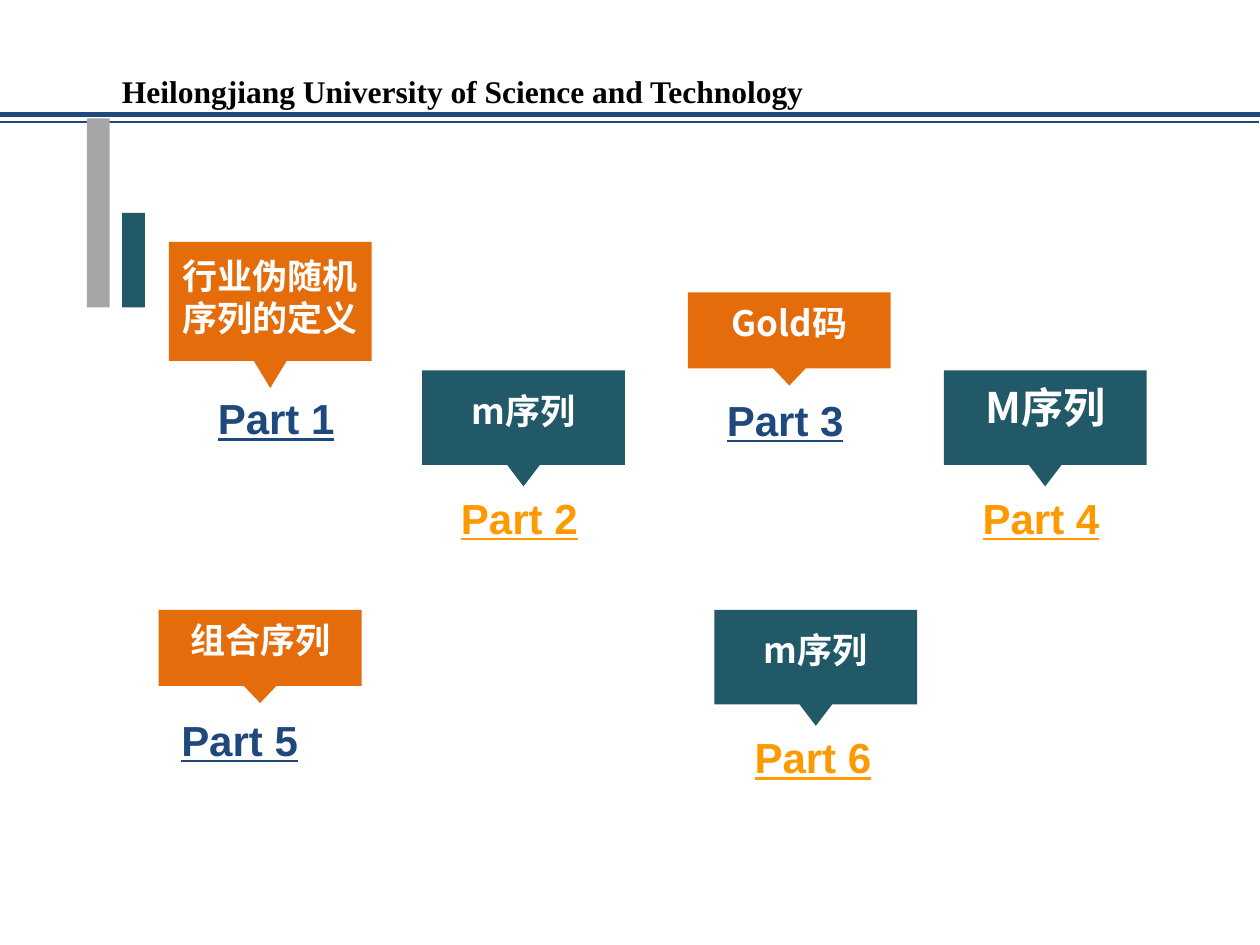
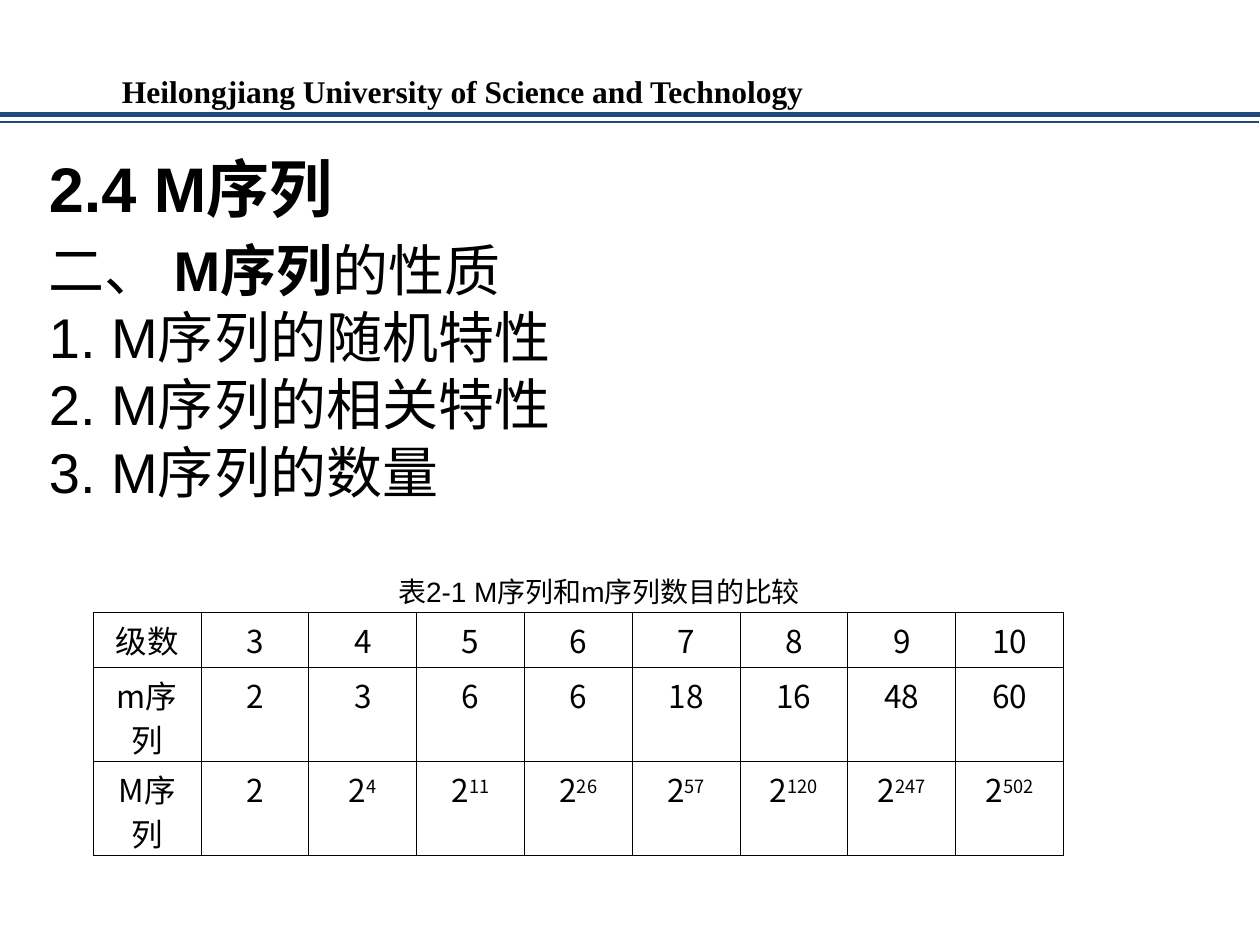
from typing import NamedTuple

from lxml import etree
from pptx import Presentation
from pptx import util as u
from pptx.dml.color import RGBColor
from pptx.enum import shapes, text
from pptx.oxml.ns import qn

NAVY, TEAL, ORANGE, AMBER = "1F497D", "215968", "E46C0A", "FF9900"
GREY, BLACK, WHITE, BORDER = "A6A6A6", "000000", "FFFFFF", "080000"
ARIAL, CJK, SERIF = "Arial", "Noto Sans CJK SC", "Times New Roman"


class Style(NamedTuple):
    size: float
    font: str = ARIAL
    color: str = BLACK
    bold: bool = False
    underline: bool = False
    raised: bool = False


class Callout(NamedTuple):
    """A box with a tail pointing at its numbered label."""
    words: str
    number: int
    left: float
    top: float
    height: float
    text_top: float
    label_left: float
    label_top: float
    fill: str
    label_color: str
    size: float = 20


CALLOUT_WIDTH, TAIL_HALF, BODY_SHARE = 1.61, 0.13, 0.815
WARM, COOL = (ORANGE, NAVY), (TEAL, AMBER)
CALLOUTS = [
    Callout("行业伪随机序列的定义", 1, 1.34, 1.92, 1.16, 0.10, 1.63, 3.07, *WARM),
    Callout("m序列", 2, 3.35, 2.94, 0.92, 0.15, 3.56, 3.86, *COOL),
    Callout("Gold码", 3, 5.46, 2.32, 0.74, 0.07, 5.67, 3.08, *WARM),
    Callout("M序列", 4, 7.49, 2.94, 0.92, 0.09, 7.70, 3.86, *COOL, size=24),
    Callout("组合序列", 5, 1.26, 4.84, 0.74, 0.07, 1.34, 5.62, *WARM),
    Callout("m序列", 6, 5.67, 4.84, 0.92, 0.15, 5.89, 5.76, *COOL),
]

# Table entries: "2^4" stands for a power
SEQUENCE_COUNTS = [
    ["级数", "3", "4", "5", "6", "7", "8", "9", "10"],
    ["m序列", "2", "3", "6", "6", "18", "16", "48", "60"],
    ["M序列", "2", "2^4", "2^11", "2^26", "2^57", "2^120", "2^247", "2^502"],
]
ROW_HEIGHTS = [0.44, 0.74, 0.74]


def rgb(value: str) -> RGBColor:
    return RGBColor.from_string(value)


def add_run(p, words: str, style: Style) -> None:
    r = p.add_run()
    r.text = words
    f = r.font
    f.size, f.name, f.bold = u.Pt(style.size), style.font, style.bold
    f.color.rgb = rgb(style.color)
    if style.underline:
        f.underline = True
    props = r._r.get_or_add_rPr()
    etree.SubElement(props, qn("a:ea")).set("typeface", CJK)
    if style.raised:
        props.set("baseline", "30000")


def add_text(s, left: float, top: float, width: float, height: float,
             paragraphs: list, line: float | None = None,
             align=text.PP_ALIGN.LEFT, wrap: bool = True) -> None:
    """Each paragraph is a list of (words, style) runs."""
    tf = s.shapes.add_textbox(*map(u.Inches, (left, top, width, height))).text_frame
    tf.word_wrap = wrap
    for i, runs in enumerate(paragraphs):
        p = tf.add_paragraph() if i else tf.paragraphs[0]
        p.alignment = align
        if line:
            p.line_spacing = u.Pt(line)
        for words, style in runs:
            add_run(p, words, style)


def paint(sp, fill: str) -> None:
    sp.shadow.inherit = False
    sp.fill.solid()
    sp.fill.fore_color.rgb = rgb(fill)
    sp.line.fill.background()


def add_bar(s, left: float, top: float, width: float, height: float, fill: str) -> None:
    box = map(u.Inches, (left, top, width, height))
    paint(s.shapes.add_shape(shapes.MSO_SHAPE.RECTANGLE, *box), fill)


def add_rule(s, left: float, y: float, weight: float) -> None:
    ends = map(u.Inches, (left, y, left + 10, y))
    sp = s.shapes.add_connector(shapes.MSO_CONNECTOR.STRAIGHT, *ends)
    sp.line.color.rgb = rgb(NAVY)
    sp.line.width = u.Pt(weight)
    etree.SubElement(sp._element.spPr, qn("a:effectLst"))


def new_slide(prs):
    """Blank slide with the university header and double rule."""
    s = prs.slides.add_slide(prs.slide_layouts[6])
    heading = ("Heilongjiang University of Science and Technology",
               Style(18, SERIF, bold=True))
    add_text(s, 0.87, 0.52, 5.7, 0.4, [[heading]], wrap=False)
    add_rule(s, 0, 0.91, 2.75)
    add_rule(s, -0.01, 0.97, 1.5)
    return s


def add_callout(s, c: Callout) -> None:
    middle, right = c.left + CALLOUT_WIDTH / 2, c.left + CALLOUT_WIDTH
    shoulder = c.top + c.height * BODY_SHARE
    outline = [(right, c.top), (right, shoulder), (middle + TAIL_HALF, shoulder),
               (middle, c.top + c.height), (middle - TAIL_HALF, shoulder),
               (c.left, shoulder)]
    builder = s.shapes.build_freeform(u.Inches(c.left), u.Inches(c.top))
    builder.add_line_segments([(u.Inches(x), u.Inches(y)) for x, y in outline])
    sp = builder.convert_to_shape()
    paint(sp, c.fill)
    tf = sp.text_frame
    tf.word_wrap = True
    tf.vertical_anchor = text.MSO_ANCHOR.TOP
    tf.margin_top = u.Inches(c.text_top)
    p = tf.paragraphs[0]
    p.alignment = text.PP_ALIGN.CENTER
    p.line_spacing = u.Pt(c.size * 1.2)
    add_run(p, c.words, Style(c.size, CJK, WHITE, bold=True))
    label = Style(24, color=c.label_color, bold=True, underline=True)
    add_text(s, c.label_left, c.label_top, 1.18, 0.5,
             [[(f"Part {c.number}", label)]], wrap=False)


def set_borders(cell) -> None:
    props = cell._tc.get_or_add_tcPr()
    for i, side in enumerate(("lnL", "lnR", "lnT", "lnB")):
        ln = etree.Element(qn(f"a:{side}"), w=str(u.Pt(0.45)))
        fill = etree.SubElement(ln, qn("a:solidFill"))
        etree.SubElement(fill, qn("a:srgbClr")).set("val", BORDER)
        props.insert(i, ln)


def add_count_table(s) -> None:
    columns = len(SEQUENCE_COUNTS[0])
    box = map(u.Inches, (0.74, 4.86, 7.7, sum(ROW_HEIGHTS)))
    table = s.shapes.add_table(len(SEQUENCE_COUNTS), columns, *box).table
    table.first_row = table.horz_banding = False
    for column in table.columns:
        column.width = u.Inches(7.7 / columns)
    for row, height, entries in zip(table.rows, ROW_HEIGHTS, SEQUENCE_COUNTS):
        row.height = u.Inches(height)
        for cell, entry in zip(row.cells, entries):
            cell.fill.background()
            set_borders(cell)
            cell.margin_left = cell.margin_right = u.Inches(0.08)
            cell.margin_top, cell.margin_bottom = u.Inches(0.05), 0
            p = cell.text_frame.paragraphs[0]
            p.alignment = text.PP_ALIGN.CENTER
            p.line_spacing = u.Pt(25)
            base, *exponents = entry.split("^")
            add_run(p, base, Style(18, CJK))
            for exponent in exponents:
                add_run(p, exponent, Style(18, CJK, raised=True))


def build_contents(prs) -> None:
    s = new_slide(prs)
    add_bar(s, 0.69, 0.94, 0.18, 1.5, GREY)
    add_bar(s, 0.97, 1.69, 0.18, 0.75, TEAL)
    for callout in CALLOUTS:
        add_callout(s, callout)


def build_properties(prs) -> None:
    s = new_slide(prs)
    add_text(s, 0.29, 1.03, 8.58, 0.76,
             [[("2.4 M序列", Style(36, bold=True))]], line=51)
    body = Style(32)
    topics = ["1. M序列的随机特性", "2. M序列的相关特性", "3. M序列的数量"]
    heading = [("二、 ", body), ("M序列", Style(32, bold=True)), ("的性质", body)]
    add_text(s, 0.29, 1.82, 8.89, 2.25,
             [heading] + [[(topic, body)] for topic in topics], line=38.4)
    # Table and its caption
    add_text(s, 0.31, 4.5, 8.89, 0.36,
             [[("表2-1 M序列和m序列数目的比较", Style(16))]],
             line=20, align=text.PP_ALIGN.CENTER)
    add_count_table(s)


def main() -> None:
    prs = Presentation()
    prs.slide_width, prs.slide_height = u.Inches(10), u.Inches(7.5)
    build_contents(prs)
    build_properties(prs)
    prs.save("out.pptx")


if __name__ == "__main__":
    main()
